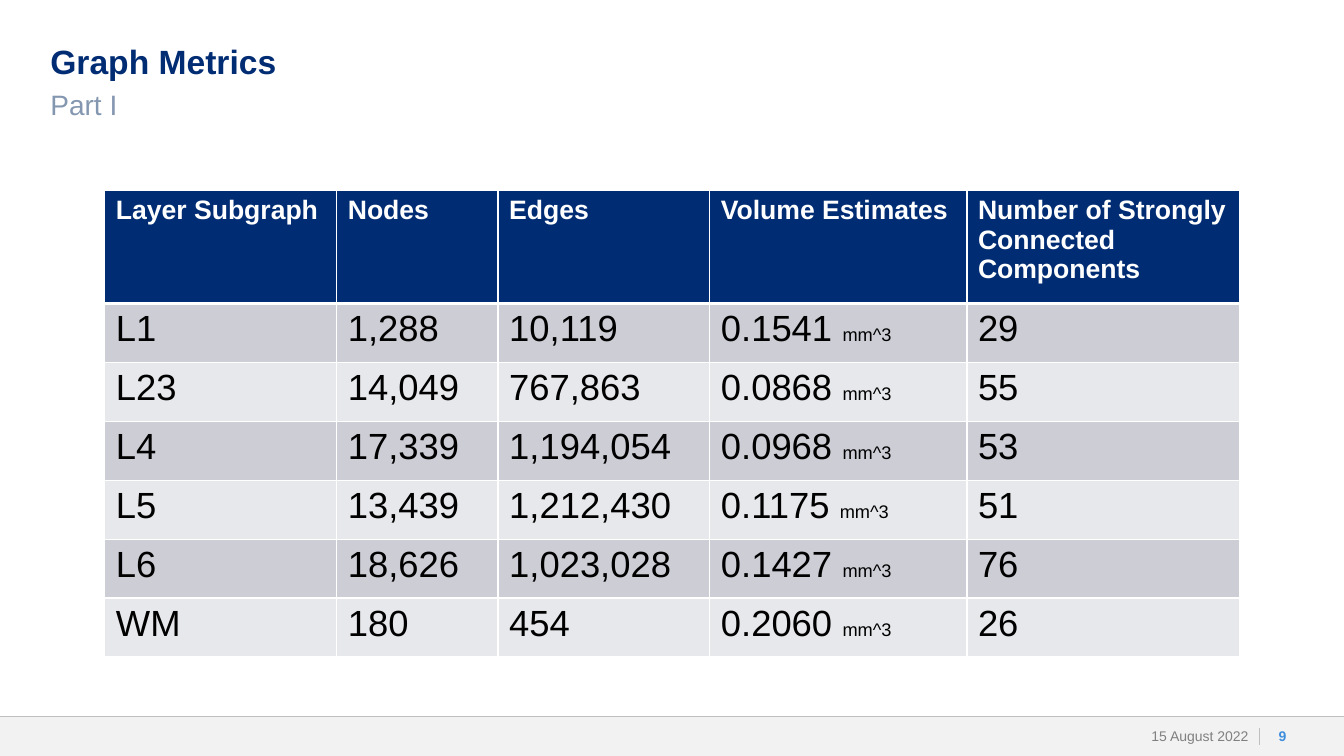
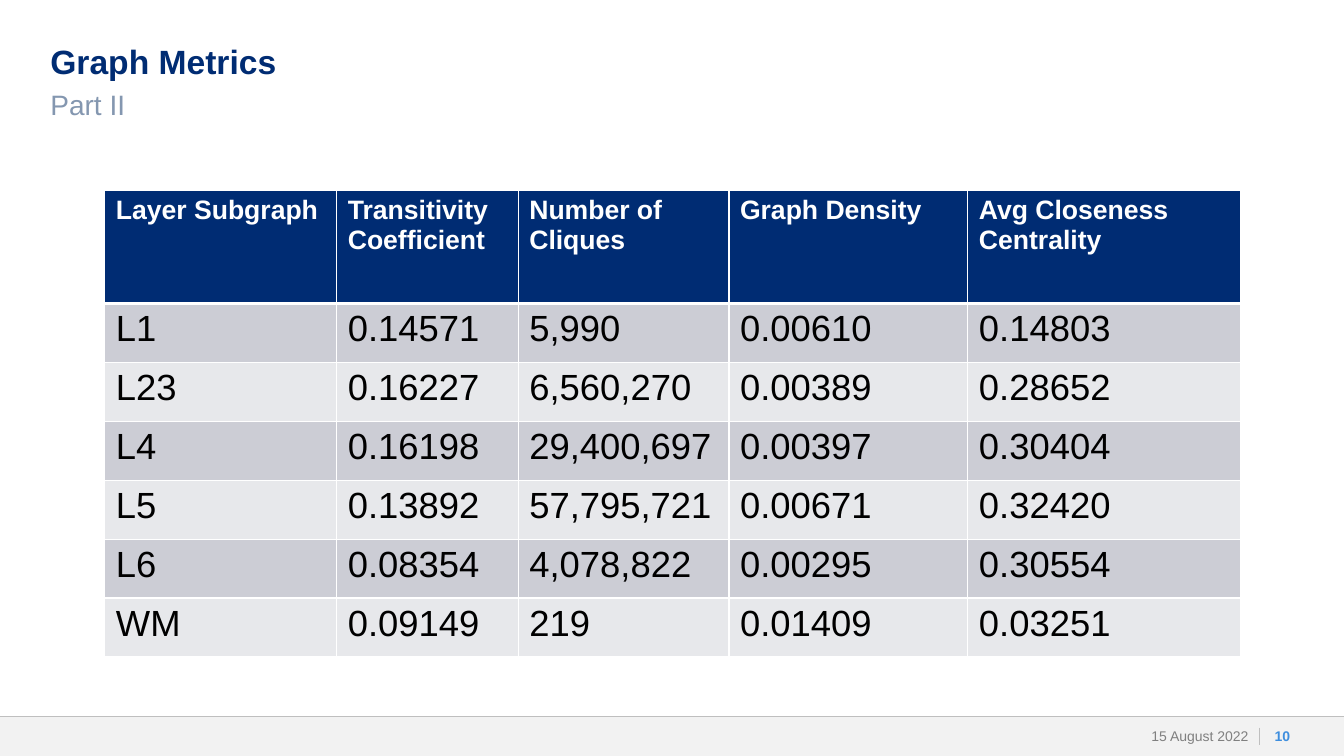
from dataclasses import dataclass

from lxml.etree import SubElement
from pptx import Presentation
from pptx.dml.color import RGBColor
from pptx.enum.shapes import MSO_CONNECTOR, MSO_SHAPE
from pptx.enum.text import MSO_ANCHOR, PP_ALIGN
from pptx.oxml.ns import qn
from pptx.slide import Slide
from pptx.table import _Cell
from pptx.text.text import _Run
from pptx.util import Inches, Pt


@dataclass(frozen=True)
class Theme:
    font: str = "Arial"
    navy: str = "002C73"
    slate: str = "8497B0"
    blue: str = "3E8EDE"
    gray: str = "808080"
    rule: str = "BFBFBF"
    band: str = "F2F2F2"
    white: str = "FFFFFF"
    black: str = "000000"
    stripes: tuple[str, str] = ("CCCDD5", "E7E8EB")
    title_size: int = 24
    subtitle_size: int = 20
    footer_size: int = 10
    header_size: int = 19
    cell_size: int = 26
    unit_size: int = 13


THEME = Theme()
WIDTH, HEIGHT = 13.33, 7.5
FOOTER_TOP = 7.11
FOOTER_HEIGHT = HEIGHT - FOOTER_TOP
TABLE_LEFT, TABLE_TOP, TABLE_HEIGHT = 1.04, 1.89, 4.63
HEADER_HEIGHT = 1.12
DATE = "15 August 2022"


@dataclass(frozen=True)
class TextStyle:
    size: int
    color: str
    bold: bool = False
    align: PP_ALIGN = PP_ALIGN.LEFT
    anchor: MSO_ANCHOR = MSO_ANCHOR.TOP
    inset: float = 0
    line_spacing: float = 1.0
    before: int = 0
    after: int = 0


TITLE = TextStyle(THEME.title_size, THEME.navy, bold=True, line_spacing=0.9)
SUBTITLE = TextStyle(THEME.subtitle_size, THEME.slate, before=10)
FOOTER_DATE = TextStyle(THEME.footer_size, THEME.gray, align=PP_ALIGN.RIGHT,
                        anchor=MSO_ANCHOR.MIDDLE, inset=0.1, after=6)
PAGE_NUMBER = TextStyle(THEME.footer_size, THEME.blue, bold=True, align=PP_ALIGN.CENTER,
                        anchor=MSO_ANCHOR.MIDDLE, after=6)


@dataclass(frozen=True)
class MetricsPage:
    number: int
    subtitle: str
    widths: tuple[float, ...]
    rows: tuple[tuple[str, ...], ...]


PAGES = (
    MetricsPage(9, "Part I", (2.3, 1.6, 2.1, 2.55, 2.7), (
        ("Layer Subgraph", "Nodes", "Edges", "Volume Estimates",
         "Number of Strongly Connected Components"),
        ("L1", "1,288", "10,119", "0.1541 mm^3", "29"),
        ("L23", "14,049", "767,863", "0.0868 mm^3", "55"),
        ("L4", "17,339", "1,194,054", "0.0968 mm^3", "53"),
        ("L5", "13,439", "1,212,430", "0.1175 mm^3", "51"),
        ("L6", "18,626", "1,023,028", "0.1427 mm^3", "76"),
        ("WM", "180", "454", "0.2060 mm^3", "26"),
    )),
    MetricsPage(10, "Part II", (2.3, 1.8, 2.09, 2.37, 2.7), (
        ("Layer Subgraph", "Transitivity Coefficient", "Number of Cliques",
         "Graph Density", "Avg Closeness Centrality"),
        ("L1", "0.14571", "5,990", "0.00610", "0.14803"),
        ("L23", "0.16227", "6,560,270", "0.00389", "0.28652"),
        ("L4", "0.16198", "29,400,697", "0.00397", "0.30404"),
        ("L5", "0.13892", "57,795,721", "0.00671", "0.32420"),
        ("L6", "0.08354", "4,078,822", "0.00295", "0.30554"),
        ("WM", "0.09149", "219", "0.01409", "0.03251"),
    )),
)


def format_run(span: _Run, size: int, color: str, bold: bool = False) -> None:
    span.font.name = THEME.font
    span.font.size = Pt(size)
    span.font.bold = bold
    span.font.color.rgb = RGBColor.from_string(color)


def add_text(page: Slide, text: str, left: float, top: float, width: float,
             height: float, style: TextStyle) -> None:
    box = page.shapes.add_textbox(Inches(left), Inches(top), Inches(width), Inches(height))
    frame = box.text_frame
    frame.word_wrap = True
    frame.vertical_anchor = style.anchor
    frame.margin_left = frame.margin_right = Inches(style.inset)
    frame.margin_top = frame.margin_bottom = 0
    frame.text = text
    para = frame.paragraphs[0]
    para.alignment = style.align
    para.line_spacing = style.line_spacing
    para.space_before, para.space_after = Pt(style.before), Pt(style.after)
    format_run(para.runs[0], style.size, style.color, style.bold)


def add_rule(page: Slide, left: float, top: float, right: float, bottom: float) -> None:
    line = page.shapes.add_connector(MSO_CONNECTOR.STRAIGHT, Inches(left), Inches(top),
                                     Inches(right), Inches(bottom))
    line.line.color.rgb = RGBColor.from_string(THEME.rule)
    line.line.width = Pt(0.5)
    SubElement(line._element.spPr, qn("a:effectLst"))


def add_frame(page: Slide, content: MetricsPage) -> None:
    # Footer band and rules
    band = page.shapes.add_shape(MSO_SHAPE.RECTANGLE, 0, Inches(FOOTER_TOP),
                                 Inches(WIDTH), Inches(FOOTER_HEIGHT))
    band.shadow.inherit = False
    band.fill.solid()
    band.fill.fore_color.rgb = RGBColor.from_string(THEME.band)
    band.line.fill.background()
    add_rule(page, 0, FOOTER_TOP, WIDTH, FOOTER_TOP)
    add_rule(page, 12.49, 7.22, 12.49, 7.39)

    # Title, subtitle, date and page number
    add_text(page, "Graph Metrics", 0.5, 0.45, 12.33, 0.37, TITLE)
    add_text(page, content.subtitle, 0.5, 0.87, 12.33, 0.42, SUBTITLE)
    add_text(page, DATE, 10.98, FOOTER_TOP, 1.5, FOOTER_HEIGHT, FOOTER_DATE)
    add_text(page, str(content.number), 12.51, FOOTER_TOP, 0.42, FOOTER_HEIGHT, PAGE_NUMBER)


def add_borders(cell: _Cell, top: int, bottom: int) -> None:
    properties = cell._tc.get_or_add_tcPr()
    for side, width in (("L", 1), ("R", 1), ("T", top), ("B", bottom)):
        border = SubElement(properties, qn(f"a:ln{side}"), w=str(Pt(width)))
        fill = SubElement(border, qn("a:solidFill"))
        SubElement(fill, qn("a:srgbClr"), val=THEME.white)


def fill_cell(cell: _Cell, text: str, row: int) -> None:
    is_header = row == 0
    add_borders(cell, top=3 if row == 1 else 1, bottom=3 if is_header else 1)
    cell.fill.solid()
    color = THEME.navy if is_header else THEME.stripes[(row - 1) % 2]
    cell.fill.fore_color.rgb = RGBColor.from_string(color)
    cell.margin_left = cell.margin_right = Inches(0.11)
    cell.margin_top = cell.margin_bottom = Inches(0.05)
    para = cell.text_frame.paragraphs[0]
    if is_header:
        para.text = text
        format_run(para.runs[0], THEME.header_size, THEME.white, bold=True)
        return
    # A unit after the number is set smaller
    number, gap, unit = text.partition(" ")
    para.text = number + gap
    format_run(para.runs[0], THEME.cell_size, THEME.black)
    if unit:
        span = para.add_run()
        span.text = unit
        format_run(span, THEME.unit_size, THEME.black)


def add_metrics_table(page: Slide, content: MetricsPage) -> None:
    row_count = len(content.rows)
    table = page.shapes.add_table(
        row_count, len(content.widths), Inches(TABLE_LEFT), Inches(TABLE_TOP),
        Inches(sum(content.widths)), Inches(TABLE_HEIGHT)).table
    for column, width in zip(table.columns, content.widths):
        column.width = Inches(width)
    body_height = (TABLE_HEIGHT - HEADER_HEIGHT) / (row_count - 1)
    for row, texts in enumerate(content.rows):
        table.rows[row].height = Inches(body_height if row else HEADER_HEIGHT)
        for column, text in enumerate(texts):
            fill_cell(table.cell(row, column), text, row)


def main() -> None:
    deck = Presentation()
    deck.slide_width, deck.slide_height = Inches(WIDTH), Inches(HEIGHT)
    for content in PAGES:
        page = deck.slides.add_slide(deck.slide_layouts[6])
        add_frame(page, content)
        add_metrics_table(page, content)
    deck.save("out.pptx")


if __name__ == "__main__":
    main()
